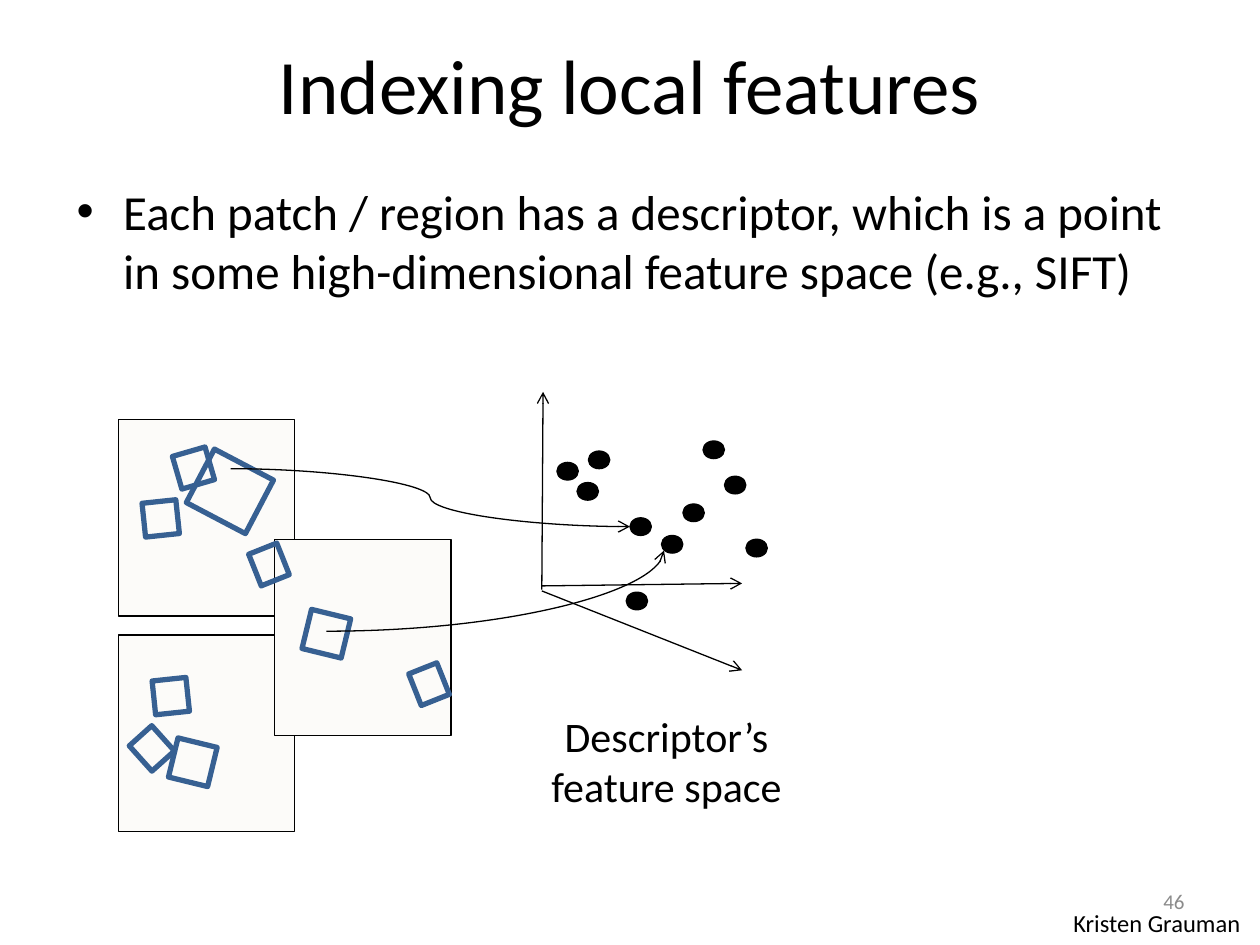
from typing import NamedTuple

from lxml import etree
from pptx import Presentation
from pptx.dml.color import RGBColor
from pptx.enum.shapes import MSO_CONNECTOR as Link, MSO_SHAPE as Preset
from pptx.enum.text import MSO_ANCHOR as Anchor, PP_ALIGN as Align
from pptx.oxml.ns import qn
from pptx.util import Inches, Pt

BLACK, GREY, BLUE, PAPER = "000000", "8B8B8B", "376092", "FCFBF9"
IMAGE_SIZE = (1.4, 1.56)
POINT_SIZE = (0.17, 0.14)


class Patch(NamedTuple):
    left: float
    top: float
    width: float
    height: float
    angle: float


class Arrow(NamedTuple):
    start: tuple[float, float]
    end: tuple[float, float]
    kind: Link = Link.STRAIGHT
    preset: str = ""


class Label(NamedTuple):
    text: str
    left: float
    top: float
    width: float
    height: float
    size: int
    align: Align = Align.LEFT
    anchor: Anchor = Anchor.TOP
    color: str = BLACK
    bullet: bool = False


IMAGES = [(0.94, 3.33), (0.94, 5.04), (2.18, 4.28)]
PATCHES = [
    Patch(1.4, 3.58, 0.27, 0.27, 73.8),
    Patch(1.56, 3.66, 0.53, 0.48, 27.7),
    Patch(1.07, 5.82, 0.27, 0.24, 48.1),
    Patch(1.14, 3.98, 0.27, 0.27, 84),
    Patch(2, 4.36, 0.27, 0.24, 68.3),
    Patch(1.22, 5.39, 0.27, 0.27, 84),
    Patch(3.27, 5.31, 0.27, 0.24, 68.3),
    Patch(1.37, 5.89, 0.32, 0.32, 13.7),
    Patch(2.43, 4.87, 0.32, 0.32, 13.7),
]
AXES = [
    Arrow((4.3, 4.65), (5.89, 4.63)),
    Arrow((4.3, 4.68), (4.31, 3.11)),
    Arrow((4.3, 4.69), (5.89, 5.32)),
]
POINTS = [
    (4.42, 3.67), (4.58, 3.83), (4.67, 3.58), (5, 4.11), (5.25, 4.25),
    (5.42, 4), (5.58, 3.5), (5.75, 3.78), (5.92, 4.28), (4.97, 4.7),
]
MAPPINGS = [
    Arrow((1.83, 3.72), (5, 4.18), Link.CURVE),
    Arrow((2.59, 5.01), (5.27, 4.37), Link.CURVE, "curvedConnector2"),
]
LABELS = [
    Label("Indexing local features", 0.5, 0.04, 9, 1.25, 44, Align.CENTER, Anchor.MIDDLE),
    Label("Each patch / region has a descriptor, which is a point in some "
          "high-dimensional feature space (e.g., SIFT)",
          0.5, 1.39, 9, 1.44, 28, bullet=True),
    Label("Descriptor’s feature space", 4, 5.59, 2.58, 0.9, 24, Align.CENTER),
    Label("Kristen Grauman", 8.42, 7.16, 1.57, 0.33, 14),
    Label("46", 7.17, 6.95, 2.33, 0.4, 12, Align.RIGHT, Anchor.MIDDLE, GREY),
]


def rgb(color: str) -> RGBColor:
    return RGBColor.from_string(color)


def add_shape(page, preset: Preset, left: float, top: float, width: float, height: float,
              fill: str = "", line: str = BLACK, weight: float = 0.75, angle: float = 0) -> None:
    shape = page.shapes.add_shape(
        preset, Inches(left), Inches(top), Inches(width), Inches(height))
    shape.shadow.inherit = False
    shape.rotation = angle
    if fill:
        shape.fill.solid()
        shape.fill.fore_color.rgb = rgb(fill)
    else:
        shape.fill.background()
    shape.line.color.rgb = rgb(line)
    shape.line.width = Pt(weight)


def add_arrow(page, arrow: Arrow) -> None:
    ends = [Inches(value) for value in (*arrow.start, *arrow.end)]
    connector = page.shapes.add_connector(arrow.kind, *ends)
    connector.line.color.rgb = rgb(BLACK)
    connector.line.width = Pt(0.75)
    properties = connector._element.spPr
    if arrow.preset:
        properties.find(qn("a:prstGeom")).set("prst", arrow.preset)
    etree.SubElement(properties.find(qn("a:ln")), qn("a:tailEnd"), type="arrow")
    etree.SubElement(properties, qn("a:effectLst"))


def add_label(page, label: Label) -> None:
    box = page.shapes.add_textbox(
        Inches(label.left), Inches(label.top), Inches(label.width), Inches(label.height))
    frame = box.text_frame
    frame.word_wrap = True
    frame.vertical_anchor = label.anchor
    para = frame.paragraphs[0]
    para.text = label.text
    para.alignment = label.align
    if label.bullet:
        properties = para._p.get_or_add_pPr()
        properties.set("marL", str(Inches(0.38)))
        properties.set("indent", str(Inches(-0.37)))
        etree.SubElement(properties, qn("a:buFont"), typeface="Arial")
        etree.SubElement(properties, qn("a:buChar"), char="•")
    para.font.name = "Calibri"
    para.font.size = Pt(label.size)
    para.font.color.rgb = rgb(label.color)


def main() -> None:
    deck = Presentation()
    deck.slide_width, deck.slide_height = Inches(10), Inches(7.5)
    page = deck.slides.add_slide(deck.slide_layouts[6])

    # Images and the patches found in them
    for corner in IMAGES:
        add_shape(page, Preset.RECTANGLE, *corner, *IMAGE_SIZE, fill=PAPER)
    for patch in PATCHES:
        add_shape(page, Preset.RECTANGLE, *patch[:4], line=BLUE, weight=3, angle=patch.angle)

    # Feature space: axes, descriptor points, and patch-to-point arrows
    for axis in AXES:
        add_arrow(page, axis)
    for corner in POINTS:
        add_shape(page, Preset.OVAL, *corner, *POINT_SIZE, fill=BLACK)
    for mapping in MAPPINGS:
        add_arrow(page, mapping)

    # Title, bullet, caption, credit and page number
    for label in LABELS:
        add_label(page, label)

    deck.save("out.pptx")


if __name__ == "__main__":
    main()
